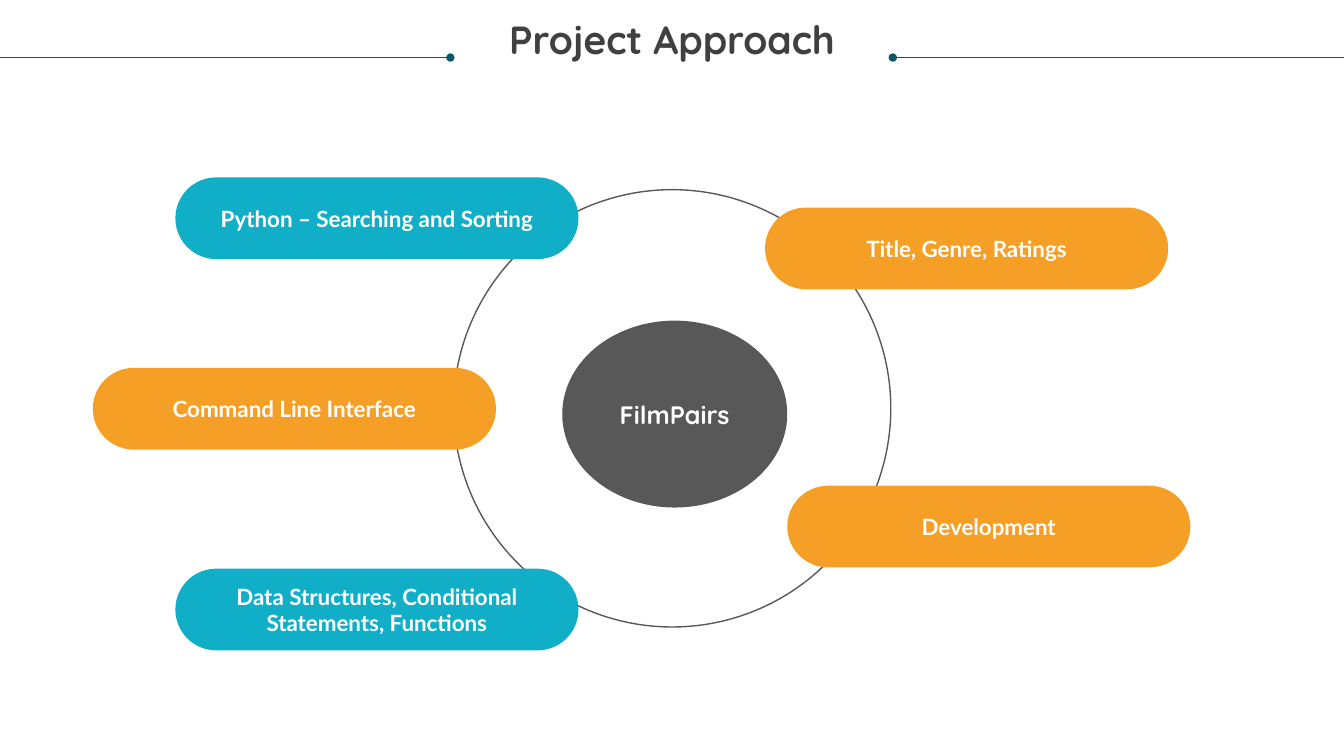
import pptx
import pptx.util
import pptx.dml.color
import pptx.enum.shapes
import pptx.enum.text
import pptx.oxml
import pptx.oxml.ns

Cm, Pt = pptx.util.Cm, pptx.util.Pt
RGBColor = pptx.dml.color.RGBColor
SHAPE = pptx.enum.shapes.MSO_SHAPE
ANCHOR = pptx.enum.text.MSO_ANCHOR
CENTER = pptx.enum.text.PP_ALIGN.CENTER

WHITE = RGBColor(0xFF, 0xFF, 0xFF)
INK = RGBColor(0x40, 0x40, 0x40)
GREY = RGBColor(0x58, 0x58, 0x58)
PETROL = RGBColor(0x08, 0x57, 0x64)
ORANGE = RGBColor(0xF5, 0x9F, 0x26)
TEAL = RGBColor(0x11, 0xAE, 0xC7)

SLIDE_WIDTH, SLIDE_HEIGHT = 33.87, 19.05
PILL_WIDTH, PILL_HEIGHT = 10.16, 2.06


class SlideBuilder:
    """Holds the fonts and the current slide."""

    heading_font = "Quicksand"
    label_font = "Lato"

    def __init__(self, page):
        self.page = page

    def label(self, shape, text, font, size, color, **paragraph_format):
        para = shape.text_frame.paragraphs[0]
        for name, value in {"alignment": CENTER, **paragraph_format}.items():
            setattr(para, name, value)
        span = para.add_run()
        span.text = text
        for name, value in {"name": font, "size": Pt(size), "bold": True}.items():
            setattr(span.font, name, value)
        span.font.color.rgb = color

    def title(self, text, left, top, width, height):
        box = self.page.shapes.title
        place = {"left": left, "top": top, "width": width, "height": height}
        for name, value in place.items():
            setattr(box, name, Cm(value))
        frame_format = {"vertical_anchor": ANCHOR.TOP, "word_wrap": True,
                        "margin_left": 0, "margin_right": 0,
                        "margin_top": 0, "margin_bottom": 0}
        for name, value in frame_format.items():
            setattr(box.text_frame, name, value)
        self.label(box, text, self.heading_font, 28, INK, line_spacing=0.9)

    def shape(self, kind, left, top, width, height, fill=None, line=None):
        shape = self.page.shapes.add_shape(
            kind, Cm(left), Cm(top), Cm(width), Cm(height))
        shape.shadow.inherit = False
        if fill is None:
            shape.fill.background()
        else:
            shape.fill.solid()
            shape.fill.fore_color.rgb = fill
        if line is None:
            shape.line.fill.background()
        else:
            shape.line.color.rgb = line
            shape.line.width = Pt(1)
        shape.text_frame.vertical_anchor = ANCHOR.MIDDLE
        shape.text_frame.word_wrap = True
        return shape

    def pill(self, text, left, top, fill):
        pill = self.shape(SHAPE.ROUNDED_RECTANGLE, left, top,
                          PILL_WIDTH, PILL_HEIGHT, fill)
        pill.adjustments[0] = 0.5
        self.label(pill, text, self.label_font, 16, WHITE)

    def dotted_rule(self, start, end, top, dot_end):
        rule = self.page.shapes.add_connector(
            pptx.enum.shapes.MSO_CONNECTOR.STRAIGHT,
            Cm(start), Cm(top), Cm(end), Cm(top))
        rule.line.color.rgb = PETROL
        rule.line.width = Pt(0.5)
        namespace = pptx.oxml.ns.nsdecls("a")
        properties = rule.element.spPr
        properties.find(pptx.oxml.ns.qn("a:ln")).append(
            pptx.oxml.parse_xml(f'<a:{dot_end} {namespace} type="oval"/>'))
        properties.append(pptx.oxml.parse_xml(f"<a:effectLst {namespace}/>"))


def main():
    deck = pptx.Presentation()
    deck.slide_width, deck.slide_height = Cm(SLIDE_WIDTH), Cm(SLIDE_HEIGHT)
    builder = SlideBuilder(deck.slides.add_slide(deck.slide_layouts[5]))

    # Heading between two dotted rules
    builder.title("Project Approach", 0.64, 0.53, 32.59, 2.16)
    builder.dotted_rule(0, 11.35, 1.45, "tailEnd")
    builder.dotted_rule(22.5, SLIDE_WIDTH, 1.45, "headEnd")

    # Ring and its core
    builder.shape(SHAPE.OVAL, 11.43, 4.78, 11.02, 11.02, line=GREY)
    core = builder.shape(SHAPE.OVAL, 14.17, 8.08, 5.67, 4.71, fill=GREY)
    builder.label(core, "FilmPairs", builder.heading_font, 18, WHITE)

    # Topics around the ring
    topics = [
        ("Title, Genre, Ratings", 19.28, 5.23, ORANGE),
        ("Development", 19.84, 12.24, ORANGE),
        ("Python – Searching and Sorting", 4.42, 4.47, TEAL),
        ("Command Line Interface", 2.34, 9.27, ORANGE),
        ("Data Structures, Conditional Statements, Functions", 4.42, 14.33, TEAL),
    ]
    for topic in topics:
        builder.pill(*topic)

    deck.save("out.pptx")


if __name__ == "__main__":
    main()
